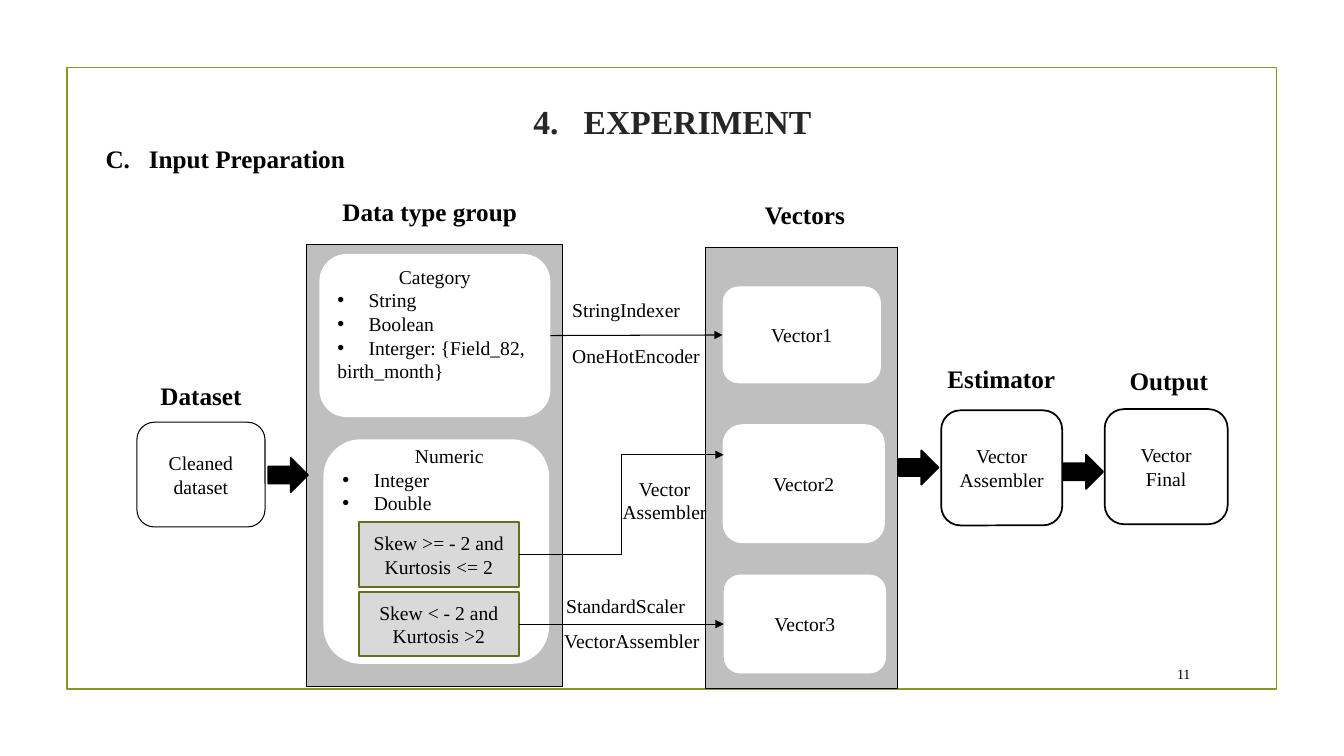
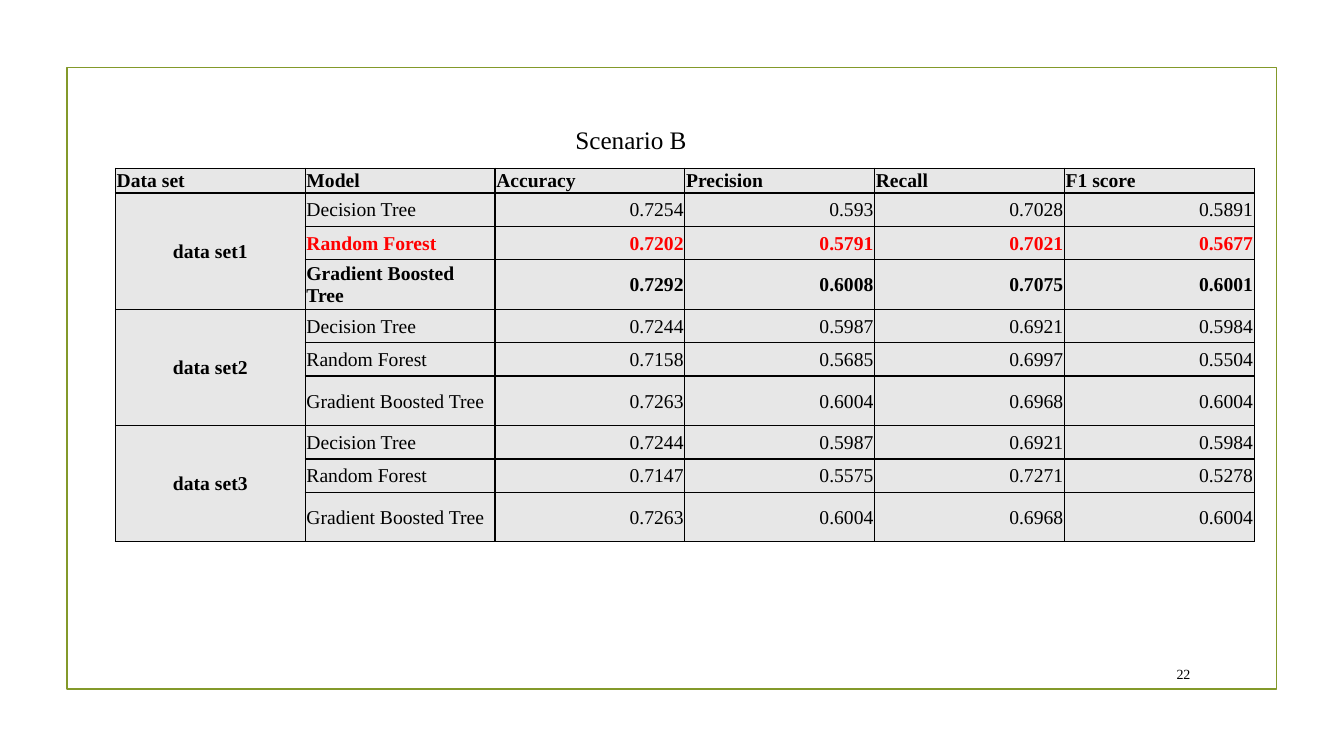
"""Build two slides: the input preparation flow and the Scenario B results table."""
import dataclasses

import pptx
import pptx.dml.color
import pptx.enum.shapes
import pptx.enum.text
import pptx.oxml
import pptx.oxml.ns
import pptx.util

Cm = pptx.util.Cm
Pt = pptx.util.Pt
SHAPE = pptx.enum.shapes.MSO_SHAPE
CONNECTOR = pptx.enum.shapes.MSO_CONNECTOR
ANCHOR = pptx.enum.text.MSO_ANCHOR
ALIGN = pptx.enum.text.PP_ALIGN
LEFT, CENTER, RIGHT = ALIGN.LEFT, ALIGN.CENTER, ALIGN.RIGHT


@dataclasses.dataclass(frozen=True)
class Theme:
    font: str = "Times New Roman"
    ink: str = "000000"
    title: str = "262626"
    accent: str = "83992A"
    accent_dark: str = "61711F"
    white: str = "FFFFFF"
    panel: str = "BFBFBF"
    condition: str = "D9D9D9"
    cell: str = "E7E7E7"
    highlight: str = "FF0000"
    title_size: float = 24
    heading_size: float = 18
    body_size: float = 14
    number_size: float = 10
    thin: float = 0.75
    thick: float = 1.25
    grid: float = 1


THEME = Theme()
SLIDE_SIZE = (33.87, 19.05)
FRAME = (1.69, 1.7, 30.48, 15.67)
NUMBER_BOX = (28.75, 16.59, 1.5, 0.79)

TITLE = ("EXPERIMENT", (3.61, 1.7, 26.67, 2.72), ("arabicPeriod", 4, 1.27))
SECTION = ("Input Preparation", (2.41, 3.48, 7.7, 1.02), ("alphaUcPeriod", 3, 1.09))

HEADINGS = [
    ("Dataset", 2.41, 9.45, CENTER),
    ("Data type group", 8.38, 4.83, LEFT),
    ("Vectors", 17.63, 4.9, CENTER),
    ("Estimator", 22.58, 9.04, CENTER),
    ("Output", 26.8, 9.09, CENTER),
]
HEADING_SIZE = (5.31, 1.02)

PANELS = [(7.72, 6.17, 6.45, 11.13), (17.78, 6.23, 4.85, 11.13)]

STAGES = [
    (["Cleaned", "dataset"], (3.45, 10.64, 3.23, 2.64), THEME.thin),
    (["Vector", "Assembler"], (23.72, 10.34, 3.05, 2.9), THEME.thick),
    (["Vector Final"], (27.84, 10.31, 3.1, 2.9), THEME.thick),
]
STAGE_ARROWS = [(6.76, 11.54), (22.65, 11.35), (26.8, 11.46)]
ARROW_SIZE = (1, 0.86)

CATEGORY = ("Category", ["String", "Boolean", "Interger: {Field_82,"], "birth_month}")
CATEGORY_BOX = (8.05, 6.4, 5.82, 4.11)
CATEGORY_BOTTOM_INSET = 0.72
NUMERIC = ("Numeric", ["Integer", "Double"])
NUMERIC_BOX = (8.15, 11.07, 5.69, 5.66)
NUMERIC_TEXT_BOX = (8.38, 11.07, 5.89, 2.64)
BULLET_INDENT = 0.79

CONDITIONS = {
    "normal": ("Skew >= - 2 and Kurtosis <= 2", 13.16),
    "skewed": ("Skew < - 2 and Kurtosis >2", 14.91),
}
CONDITION_LEFT, CONDITION_SIZE = 9.04, (4.04, 1.63)

VECTORS = [
    ("Vector1", (18.21, 7.22, 3.99, 2.44)),
    ("Vector2", (18.21, 10.69, 4.09, 3)),
    ("Vector3", (18.24, 14.48, 4.09, 2.49)),
]
ELBOW_END = (18.24, 11.46)

STEP_LABELS = [
    (["StringIndexer"], (14.17, 7.39, 4.32, 0.86), LEFT),
    (["OneHotEncoder"], (14.17, 8.53, 4.32, 0.86), LEFT),
    (["Vector", "Assembler"], (15.24, 11.89, 3.02, 2.06), CENTER),
    (["StandardScaler"], (14.02, 14.83, 4.32, 0.86), LEFT),
    (["VectorAssembler"], (13.97, 15.72, 4.32, 0.86), LEFT),
]

SCENARIO = ("Scenario B", (14.25, 3, 11.89, 1.02))
COLUMNS = ["Data set", "Model", "Accuracy", "Precision", "Recall", "F1 score"]
MODELS = ["Decision Tree", "Random Forest", "Gradient Boosted Tree"]
RESULTS = {
    "data set1": [
        ["0.7254", "0.593", "0.7028", "0.5891"],
        ["0.7202", "0.5791", "0.7021", "0.5677"],
        ["0.7292", "0.6008", "0.7075", "0.6001"],
    ],
    "data set2": [
        ["0.7244", "0.5987", "0.6921", "0.5984"],
        ["0.7158", "0.5685", "0.6997", "0.5504"],
        ["0.7263", "0.6004", "0.6968", "0.6004"],
    ],
    "data set3": [
        ["0.7244", "0.5987", "0.6921", "0.5984"],
        ["0.7147", "0.5575", "0.7271", "0.5278"],
        ["0.7263", "0.6004", "0.6968", "0.6004"],
    ],
}
ROW_STYLES = {
    ("data set1", "Random Forest"): (True, THEME.highlight),
    ("data set1", "Gradient Boosted Tree"): (True, THEME.ink),
}
TABLE_AT, TABLE_WIDTH = (2.91, 4.24), 28.7
HEADER_HEIGHT, MODEL_HEIGHTS = 0.46, [0.84, 0.84, 1.25]
CELL_INSET = 0.03


def rgb(color):
    return pptx.dml.color.RGBColor.from_string(color)


def add_child(parent, tag, **attributes):
    child = pptx.oxml.parse_xml(f"<a:{tag} {pptx.oxml.ns.nsdecls('a')}/>")
    for name, value in attributes.items():
        child.set(name, str(value))
    parent.append(child)
    return child


def style_font(font, size, bold, color):
    font.name, font.size, font.bold = THEME.font, Pt(size), bold
    font.color.rgb = rgb(color)


def set_marker(para, marker):
    scheme, start, indent = marker
    properties = para._p.get_or_add_pPr()
    properties.set("marL", str(Cm(indent)))
    properties.set("indent", str(-Cm(indent)))
    if scheme == "bullet":
        add_child(properties, "buFont", typeface="Arial")
        add_child(properties, "buChar", char="•")
    else:
        add_child(properties, "buAutoNum", type=scheme, startAt=start)


def write(frame, lines, size=THEME.body_size, bold=False, color=THEME.ink, align=CENTER):
    """Fill a text frame; a line is a string or (text, alignment, marker)."""
    frame.word_wrap = True
    for index, line in enumerate(lines):
        text, line_align, marker = (line, align, None) if isinstance(line, str) else line
        para = frame.add_paragraph() if index else frame.paragraphs[0]
        para.alignment = line_align
        if marker:
            set_marker(para, marker)
        style_font(para.font, size, bold, color)
        span = para.add_run()
        span.text = text
        style_font(span.font, size, bold, color)


def add_text(page, lines, at, anchor=ANCHOR.TOP, **style):
    box = page.shapes.add_textbox(*map(Cm, at))
    box.text_frame.vertical_anchor = anchor
    write(box.text_frame, lines, **style)
    return box


def add_box(page, kind, at, fill=None, line=None, width=THEME.thin, lines=()):
    box = page.shapes.add_shape(kind, *map(Cm, at))
    box.shadow.inherit = False
    if fill:
        box.fill.solid()
        box.fill.fore_color.rgb = rgb(fill)
    else:
        box.fill.background()
    if line:
        box.line.color.rgb = rgb(line)
        box.line.width = Pt(width)
    else:
        box.line.fill.background()
    box.text_frame.vertical_anchor = ANCHOR.MIDDLE
    write(box.text_frame, lines)
    return box


def add_arrow(page, kind, source, end):
    start = (source.left + source.width, source.top + source.height // 2)
    arrow = page.shapes.add_connector(kind, *start, *end)
    arrow.line.color.rgb = rgb(THEME.ink)
    arrow.line.width = Pt(THEME.thin)
    add_child(arrow.line._get_or_add_ln(), "tailEnd", type="triangle")
    add_child(arrow._element.spPr, "effectLst")
    return arrow


def link(page, source, target):
    end = (target.left, target.top + target.height // 2)
    arrow = add_arrow(page, CONNECTOR.STRAIGHT, source, end)
    arrow.begin_connect(source, 3)
    arrow.end_connect(target, 1)


def add_page(deck, number):
    page = deck.slides.add_slide(deck.slide_layouts[6])
    add_box(page, SHAPE.RECTANGLE, FRAME, line=THEME.accent, width=THEME.thick)
    add_text(page, [number], NUMBER_BOX, ANCHOR.MIDDLE, size=THEME.number_size, align=RIGHT)
    return page


def bulleted(items):
    return [(item, LEFT, ("bullet", None, BULLET_INDENT)) for item in items]


def build_preparation(deck):
    page = add_page(deck, "11")
    text, at, marker = TITLE
    add_text(page, [(text, CENTER, marker)], at, ANCHOR.MIDDLE,
             size=THEME.title_size, bold=True, color=THEME.title)
    text, at, marker = SECTION
    add_text(page, [(text, LEFT, marker)], at, size=THEME.heading_size, bold=True)
    for text, left, top, align in HEADINGS:
        add_text(page, [text], (left, top, *HEADING_SIZE),
                 size=THEME.heading_size, bold=True, align=align)

    for at in PANELS:
        add_box(page, SHAPE.RECTANGLE, at, THEME.panel, THEME.ink)
    for lines, at, width in STAGES:
        add_box(page, SHAPE.ROUNDED_RECTANGLE, at, THEME.white, THEME.ink, width, lines)
    for place in STAGE_ARROWS:
        add_box(page, SHAPE.RIGHT_ARROW, (*place, *ARROW_SIZE), THEME.ink, THEME.ink, THEME.thick)

    name, items, rest = CATEGORY
    category = add_box(page, SHAPE.ROUNDED_RECTANGLE, CATEGORY_BOX, THEME.white,
                       lines=[name, *bulleted(items), (rest, LEFT, None)])
    category.text_frame.margin_bottom = Cm(CATEGORY_BOTTOM_INSET)
    add_box(page, SHAPE.ROUNDED_RECTANGLE, NUMERIC_BOX, THEME.white)
    name, items = NUMERIC
    add_text(page, [name, *bulleted(items)], NUMERIC_TEXT_BOX)
    conditions = {
        key: add_box(page, SHAPE.RECTANGLE, (CONDITION_LEFT, top, *CONDITION_SIZE),
                     THEME.condition, THEME.accent_dark, THEME.thick, [text])
        for key, (text, top) in CONDITIONS.items()
    }
    vectors = {
        name: add_box(page, SHAPE.ROUNDED_RECTANGLE, at, THEME.white, lines=[name])
        for name, at in VECTORS
    }
    link(page, category, vectors["Vector1"])
    link(page, conditions["skewed"], vectors["Vector3"])
    add_arrow(page, CONNECTOR.ELBOW, conditions["normal"], tuple(map(Cm, ELBOW_END)))
    for lines, at, align in STEP_LABELS:
        add_text(page, lines, at, align=align)


def fill_cell(cell, text, bold, color, align):
    cell.margin_left = cell.margin_right = cell.margin_top = Cm(CELL_INSET)
    cell.margin_bottom = 0
    cell.vertical_anchor = ANCHOR.MIDDLE
    properties = cell._tc.get_or_add_tcPr()
    for side in ("lnL", "lnR", "lnT", "lnB"):
        border = add_child(properties, side, w=Pt(THEME.grid))
        add_child(add_child(border, "solidFill"), "srgbClr", val=THEME.ink)
    cell.fill.solid()
    cell.fill.fore_color.rgb = rgb(THEME.cell)
    write(cell.text_frame, [text] if text else [], bold=bold, color=color, align=align)


def build_results(deck):
    page = add_page(deck, "22")
    text, at = SCENARIO
    add_text(page, [text], at, size=THEME.heading_size, align=LEFT)

    heights = [HEADER_HEIGHT] + MODEL_HEIGHTS * len(RESULTS)
    size = (TABLE_WIDTH, sum(heights))
    table = page.shapes.add_table(len(heights), len(COLUMNS), *map(Cm, TABLE_AT + size)).table
    table.first_row = table.horz_banding = False
    for row, height in zip(table.rows, heights):
        row.height = Cm(height)
    for column, name in enumerate(COLUMNS):
        fill_cell(table.cell(0, column), name, True, THEME.ink, LEFT)

    for group, (name, scores) in enumerate(RESULTS.items()):
        first = 1 + group * len(MODELS)
        for offset, (model, values) in enumerate(zip(MODELS, scores)):
            row = first + offset
            bold, color = ROW_STYLES.get((name, model), (False, THEME.ink))
            fill_cell(table.cell(row, 0), "" if offset else name, True, THEME.ink, CENTER)
            fill_cell(table.cell(row, 1), model, bold, color, LEFT)
            for column, value in enumerate(values, 2):
                fill_cell(table.cell(row, column), value, bold, color, RIGHT)
        table.cell(first, 0).merge(table.cell(first + len(MODELS) - 1, 0))


def main():
    deck = pptx.Presentation()
    deck.slide_width, deck.slide_height = map(Cm, SLIDE_SIZE)
    build_preparation(deck)
    build_results(deck)
    deck.save("out.pptx")


if __name__ == "__main__":
    main()
